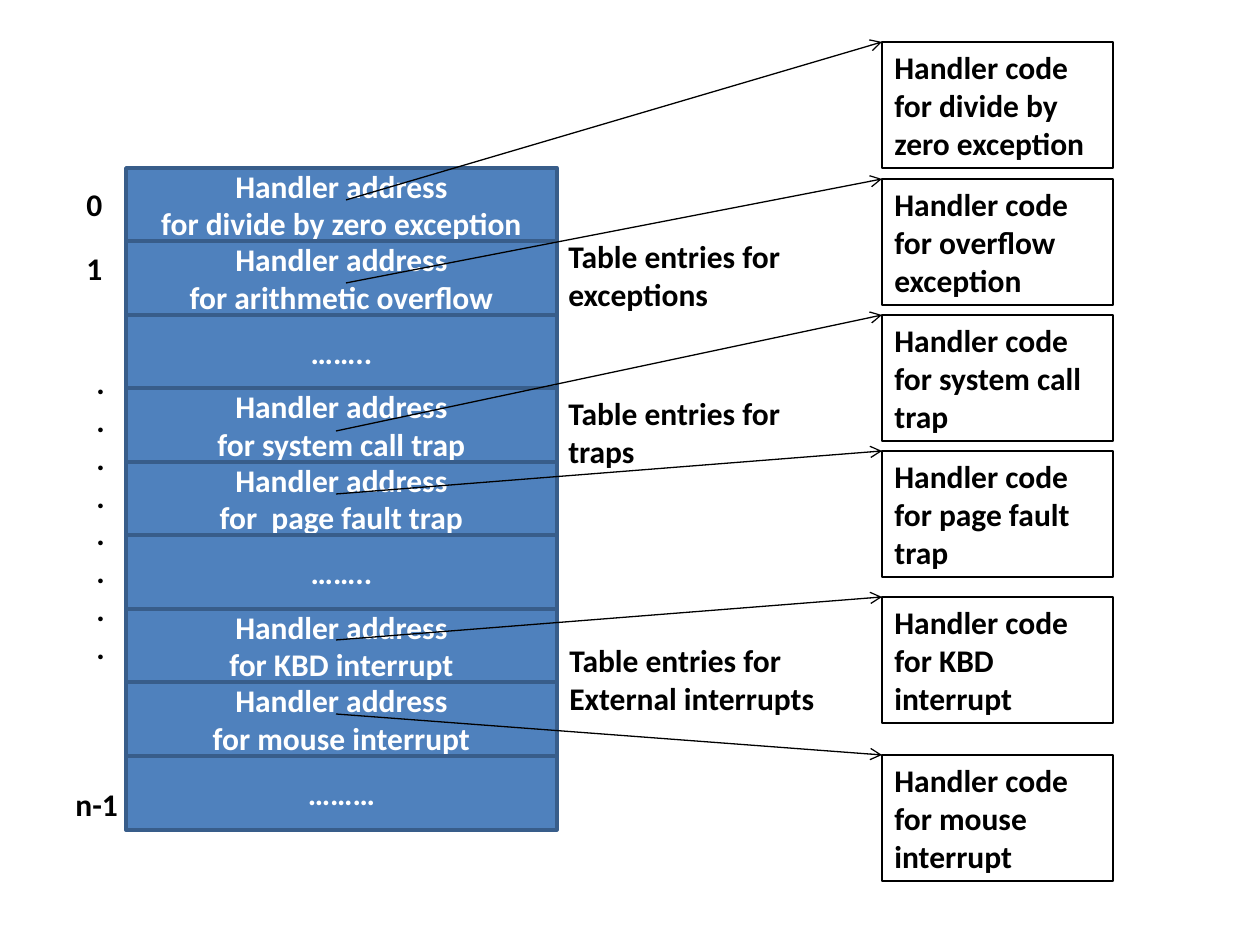
import pptx
import pptx.dml.color
import pptx.enum.shapes
import pptx.enum.text
import pptx.oxml.ns
import pptx.util
import lxml.etree

PIXELS_PER_INCH = 126
COLORS = {"entry": "4F81BD", "entry_line": "385D8A", "white": "FFFFFF", "black": "000000"}

ENTRIES = [
    ["Handler address", "for divide by zero exception"],
    ["Handler address", "for arithmetic overflow"],
    ["…….."],
    ["Handler address", "for system call trap"],
    ["Handler address", "for  page fault trap"],
    ["…….."],
    ["Handler address", "for KBD interrupt"],
    ["Handler address", "for mouse interrupt"],
    ["………"],
]

# Box top, what the code handles, and where its arrow starts
HANDLERS = [
    (42, "divide by zero exception", (346, 200)),
    (179, "overflow exception", (346, 283)),
    (315, "system call trap", (336, 431)),
    (451, "page fault trap", (336, 494)),
    (597, "KBD interrupt", (336, 640)),
    (755, "mouse interrupt", (336, 714)),
]


def px(value):
    return pptx.util.Emu(round(value * 914400 / PIXELS_PER_INCH))


def rgb(name):
    return pptx.dml.color.RGBColor.from_string(COLORS[name])


def write_lines(shape, lines, color, alignment):
    text_frame = shape.text_frame
    for index, line in enumerate(lines):
        paragraph = text_frame.add_paragraph() if index else text_frame.paragraphs[0]
        paragraph.alignment = alignment
        run = paragraph.add_run()
        run.text = line
        run.font.name = "Calibri"
        run.font.size = pptx.util.Pt(18)
        run.font.bold = True
        run.font.color.rgb = rgb(color)


def add_rectangle(slide, box, line_color, line_width):
    shape = slide.shapes.add_shape(
        pptx.enum.shapes.MSO_SHAPE.RECTANGLE, *[px(value) for value in box])
    shape.shadow.inherit = False
    shape.line.color.rgb = rgb(line_color)
    shape.line.width = pptx.util.Pt(line_width)
    shape.text_frame.word_wrap = True
    return shape


def add_label(slide, box, lines):
    label = slide.shapes.add_textbox(*[px(value) for value in box])
    label.text_frame.word_wrap = False
    label.text_frame.auto_size = pptx.enum.text.MSO_AUTO_SIZE.SHAPE_TO_FIT_TEXT
    write_lines(label, lines, "black", pptx.enum.text.PP_ALIGN.LEFT)


def add_arrow(slide, start, end):
    connector = slide.shapes.add_connector(
        pptx.enum.shapes.MSO_CONNECTOR.STRAIGHT, *[px(value) for value in start + end])
    connector.line.color.rgb = rgb("black")
    connector.line.width = pptx.util.Pt(0.75)
    tail = lxml.etree.SubElement(
        connector.line._get_or_add_ln(), pptx.oxml.ns.qn("a:tailEnd"))
    tail.set("type", "arrow")
    lxml.etree.SubElement(connector._element.spPr, pptx.oxml.ns.qn("a:effectLst"))


def add_vector_table(slide, left, top, width, height):
    # Equal entries stacked from top to bottom
    edges = [top + height * index // len(ENTRIES) for index in range(len(ENTRIES) + 1)]
    for lines, upper, lower in zip(ENTRIES, edges, edges[1:]):
        entry = add_rectangle(slide, (left, upper, width, lower - upper), "entry_line", 2)
        entry.fill.solid()
        entry.fill.fore_color.rgb = rgb("entry")
        entry.text_frame.vertical_anchor = pptx.enum.text.MSO_ANCHOR.MIDDLE
        write_lines(entry, lines, "white", pptx.enum.text.PP_ALIGN.CENTER)

    # Index numbers on the left
    add_label(slide, (left - 52, top + 11, 40, 50), ["0"])
    add_label(slide, (left - 52, top + 75, 40, 50), ["1"])
    add_label(slide, (left - 42, top + 189, 33, 315), ["."] * 8)
    add_label(slide, (left - 63, top + 611, 68, 50), ["n-1"])

    # Names of the entry groups on the right
    right = left + width - 1
    add_label(slide, (right, top + 63, 239, 88), ["Table entries for", "exceptions"])
    add_label(slide, (right, top + 220, 239, 88), ["Table entries for", "traps"])
    add_label(slide, (right + 1, top + 467, 271, 88),
              ["Table entries for", "External interrupts"])


def add_handlers(slide, left, width, height):
    for top, event, arrow_start in HANDLERS:
        box = add_rectangle(slide, (left, top, width, height), "black", 0.75)
        box.fill.background()
        box.text_frame.vertical_anchor = pptx.enum.text.MSO_ANCHOR.TOP
        box.text_frame.auto_size = pptx.enum.text.MSO_AUTO_SIZE.SHAPE_TO_FIT_TEXT
        write_lines(box, [f"Handler code for {event}"], "black",
                    pptx.enum.text.PP_ALIGN.LEFT)
        add_arrow(slide, arrow_start, (left, top))


def main():
    presentation = pptx.Presentation()
    presentation.slide_width = px(1260)
    presentation.slide_height = px(945)
    slide = presentation.slides.add_slide(presentation.slide_layouts[6])
    add_vector_table(slide, 126, 168, 431, 662)
    add_handlers(slide, 882, 231, 126)
    presentation.save("out.pptx")


if __name__ == "__main__":
    main()
